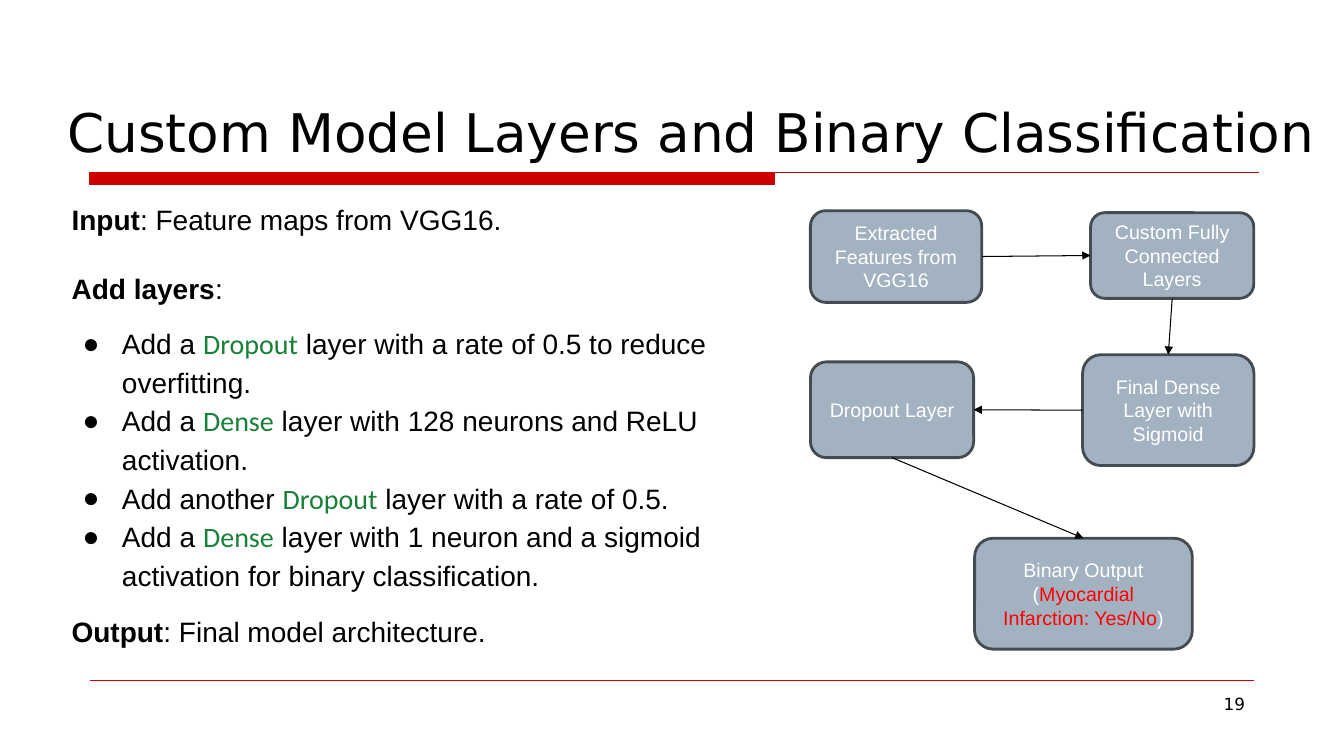
import dataclasses
import typing

import lxml.etree
import pptx
import pptx.dml.color
import pptx.enum.shapes
import pptx.enum.text
import pptx.oxml.ns
import pptx.util

Pt = pptx.util.Pt
TOP, LEFT, BOTTOM, RIGHT = range(4)


@dataclasses.dataclass(frozen=True)
class Theme:
    black: str = "000000"
    white: str = "FFFFFF"
    accent: str = "CC0000"
    alert: str = "FF0000"
    code: str = "188038"
    node_fill: str = "A3B2C1"
    node_line: str = "444B51"
    heading_font: str = "DejaVu Sans"
    body_font: str = "Arial"
    code_font: str = "Calibri"
    title_size: float = 38
    body_size: float = 20
    node_size: float = 14
    number_size: float = 12
    node_border: float = 2
    rule_width: float = 0.75


THEME = Theme()


class Span(typing.NamedTuple):
    text: str
    color: str = THEME.black
    font: str = THEME.body_font
    bold: bool = False


class Line(typing.NamedTuple):
    spans: list[Span]
    before: float = 0
    spacing: float = 1.15
    bullet: bool = False


class Node(typing.NamedTuple):
    left: float
    top: float
    width: float
    height: float
    spans: list[Span]


class Arrow(typing.NamedTuple):
    source: str
    source_side: int
    target: str
    target_side: int


def label(text: str) -> Span:
    return Span(text, THEME.white)


def layer_line(lead: str, layer: str, rest: str, before: float = 0) -> Line:
    spans = [Span(lead), Span(layer, THEME.code, THEME.code_font), Span(rest)]
    return Line(spans, before, bullet=True)


LINES = [
    Line([Span("Input", bold=True), Span(": Feature maps from VGG16.")], spacing=1.0),
    Line([Span("Add layers", bold=True), Span(":")], before=25, spacing=1.0),
    layer_line("Add a ", "Dropout", " layer with a rate of 0.5 to reduce overfitting.", 12),
    layer_line("Add a ", "Dense", " layer with 128 neurons and ReLU activation."),
    layer_line("Add another ", "Dropout", " layer with a rate of 0.5."),
    layer_line("Add a ", "Dense",
               " layer with 1 neuron and a sigmoid activation for binary classification."),
    Line([Span("Output", bold=True), Span(": Final model architecture.")], before=12),
]

NODES = {
    "features": Node(578.9, 150.5, 122.4, 65.5, [label("Extracted Features from VGG16")]),
    "custom": Node(779, 151.9, 116.6, 61.2, [label("Custom Fully Connected Layers")]),
    "dense": Node(773.3, 253.4, 122.4, 79.2, [label("Final Dense Layer with Sigmoid")]),
    "dropout": Node(578.9, 258.5, 116.6, 68.4, [label("Dropout Layer")]),
    "output": Node(696.2, 384.5, 155.5, 79.2, [
        label("Binary Output ("),
        Span("Myocardial Infarction: Yes/No", THEME.alert),
        label(")"),
    ]),
}

ARROWS = [
    Arrow("features", RIGHT, "custom", LEFT),
    Arrow("custom", BOTTOM, "dense", TOP),
    Arrow("dense", LEFT, "dropout", RIGHT),
    Arrow("dropout", BOTTOM, "output", TOP),
]


def rgb(color: str) -> pptx.dml.color.RGBColor:
    return pptx.dml.color.RGBColor.from_string(color)


def add_child(parent, tag: str, **attributes: str):
    return lxml.etree.SubElement(parent, pptx.oxml.ns.qn(tag), attributes)


def add_spans(paragraph, spans: list[Span], size: float) -> None:
    for span in spans:
        run = paragraph.add_run()
        run.text = span.text
        run.font.name = span.font
        run.font.size = Pt(size)
        run.font.bold = span.bold
        run.font.color.rgb = rgb(span.color)


def place(shape, left: float, top: float, width: float, height: float) -> None:
    shape.left, shape.top = Pt(left), Pt(top)
    shape.width, shape.height = Pt(width), Pt(height)


def prepare_frame(shape, anchor):
    frame = shape.text_frame
    frame.word_wrap = True
    frame.auto_size = pptx.enum.text.MSO_AUTO_SIZE.NONE
    frame.vertical_anchor = anchor
    return frame


def fill_title(shape) -> None:
    place(shape, 41, 24.5, 918.7, 95.8)
    paragraph = prepare_frame(shape, pptx.enum.text.MSO_ANCHOR.BOTTOM).paragraphs[0]
    paragraph.alignment = pptx.enum.text.PP_ALIGN.LEFT
    title = Span("Custom Model Layers and Binary Classification", font=THEME.heading_font)
    add_spans(paragraph, [title], THEME.title_size)


def fill_body(shape) -> None:
    place(shape, 43.9, 141.1, 509.8, 326.9)
    frame = prepare_frame(shape, pptx.enum.text.MSO_ANCHOR.TOP)
    for index, line in enumerate(LINES):
        paragraph = frame.add_paragraph() if index else frame.paragraphs[0]
        paragraph.space_before = Pt(line.before)
        paragraph.line_spacing = line.spacing
        properties = paragraph._p.get_or_add_pPr()
        properties.set("marL", str(Pt(36 if line.bullet else 0)))
        properties.set("indent", str(Pt(-28 if line.bullet else 0)))
        if line.bullet:
            add_child(add_child(properties, "a:buClr"), "a:srgbClr", val=THEME.black)
            add_child(properties, "a:buFont", typeface=THEME.body_font)
            add_child(properties, "a:buChar", char="●")
        else:
            add_child(properties, "a:buNone")
        add_spans(paragraph, line.spans, THEME.body_size)


def add_line(slide, start: tuple[float, float], end: tuple[float, float], color: str):
    connector = slide.shapes.add_connector(
        pptx.enum.shapes.MSO_CONNECTOR.STRAIGHT, *map(Pt, start + end))
    connector.line.color.rgb = rgb(color)
    connector.line.width = Pt(THEME.rule_width)
    add_child(connector._element.spPr, "a:effectLst")
    return connector


def add_node(slide, node: Node):
    shape = slide.shapes.add_shape(
        pptx.enum.shapes.MSO_SHAPE.ROUNDED_RECTANGLE, *map(Pt, node[:4]))
    shape.shadow.inherit = False
    shape.fill.solid()
    shape.fill.fore_color.rgb = rgb(THEME.node_fill)
    shape.line.color.rgb = rgb(THEME.node_line)
    shape.line.width = Pt(THEME.node_border)
    paragraph = prepare_frame(shape, pptx.enum.text.MSO_ANCHOR.MIDDLE).paragraphs[0]
    paragraph.alignment = pptx.enum.text.PP_ALIGN.CENTER
    add_spans(paragraph, node.spans, THEME.node_size)
    return shape


def add_arrow(slide, arrow: Arrow, shapes: dict) -> None:
    connector = add_line(slide, (0, 0), (0, 0), THEME.black)
    connector.begin_connect(shapes[arrow.source], arrow.source_side)
    connector.end_connect(shapes[arrow.target], arrow.target_side)
    outline = connector._element.spPr.find(pptx.oxml.ns.qn("a:ln"))
    add_child(outline, "a:tailEnd", type="triangle")


def add_decoration(slide) -> None:
    bar = slide.shapes.add_shape(
        pptx.enum.shapes.MSO_SHAPE.RECTANGLE, Pt(64.1), Pt(123.1), Pt(488.9), Pt(8.8))
    bar.shadow.inherit = False
    bar.fill.solid()
    bar.fill.fore_color.rgb = rgb(THEME.accent)
    bar.line.color.rgb = rgb(THEME.accent)
    bar.line.width = Pt(THEME.rule_width)
    add_line(slide, (64.1, 123.1), (899.3, 123.1), THEME.accent)
    add_line(slide, (64.1, 486), (895.7, 486), THEME.accent)
    number = slide.shapes.add_textbox(Pt(688.3), Pt(491.8), Pt(208.1), Pt(37.4))
    paragraph = prepare_frame(number, pptx.enum.text.MSO_ANCHOR.TOP).paragraphs[0]
    paragraph.alignment = pptx.enum.text.PP_ALIGN.RIGHT
    add_spans(paragraph, [Span("19", font=THEME.heading_font)], THEME.number_size)


def main() -> None:
    presentation = pptx.Presentation()
    presentation.slide_width, presentation.slide_height = Pt(960), Pt(540)
    slide = presentation.slides.add_slide(presentation.slide_layouts[1])
    fill_title(slide.shapes.title)
    fill_body(slide.placeholders[1])
    add_decoration(slide)
    shapes = {name: add_node(slide, node) for name, node in NODES.items()}
    for arrow in ARROWS:
        add_arrow(slide, arrow, shapes)
    presentation.save("out.pptx")


if __name__ == "__main__":
    main()
